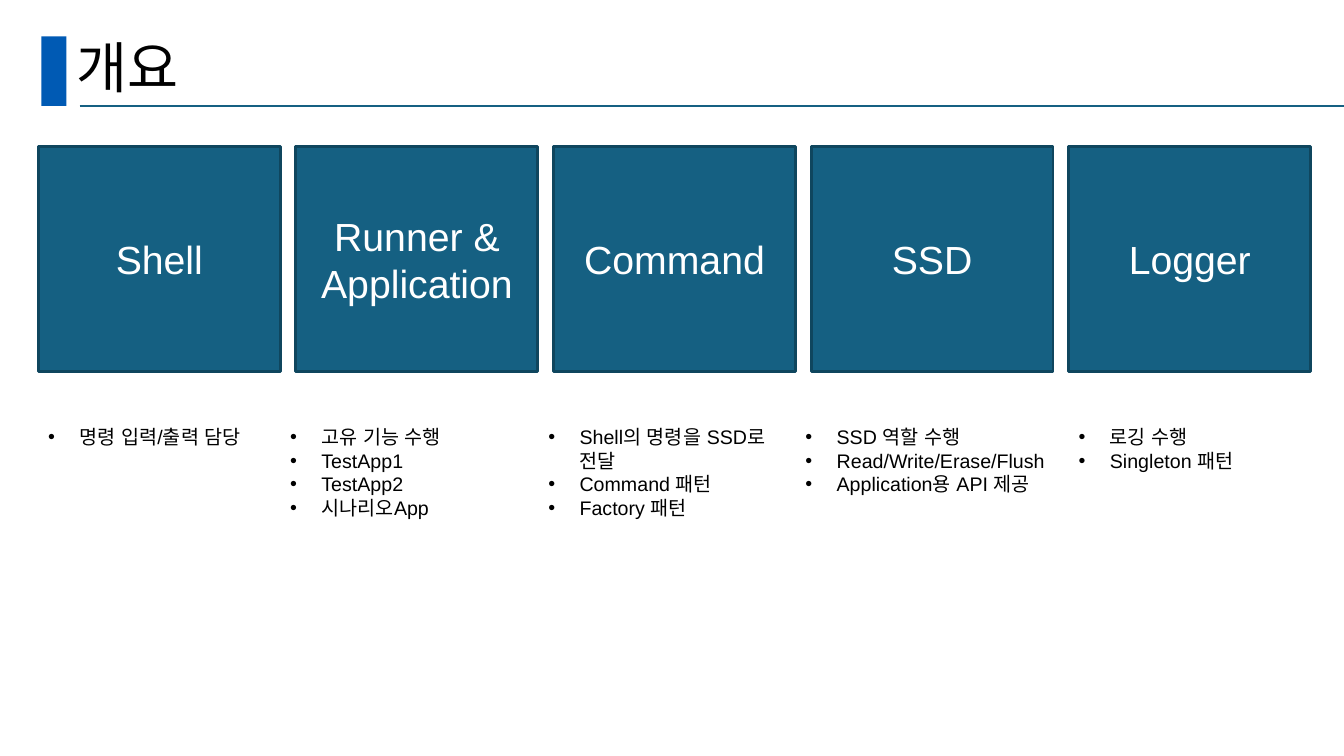
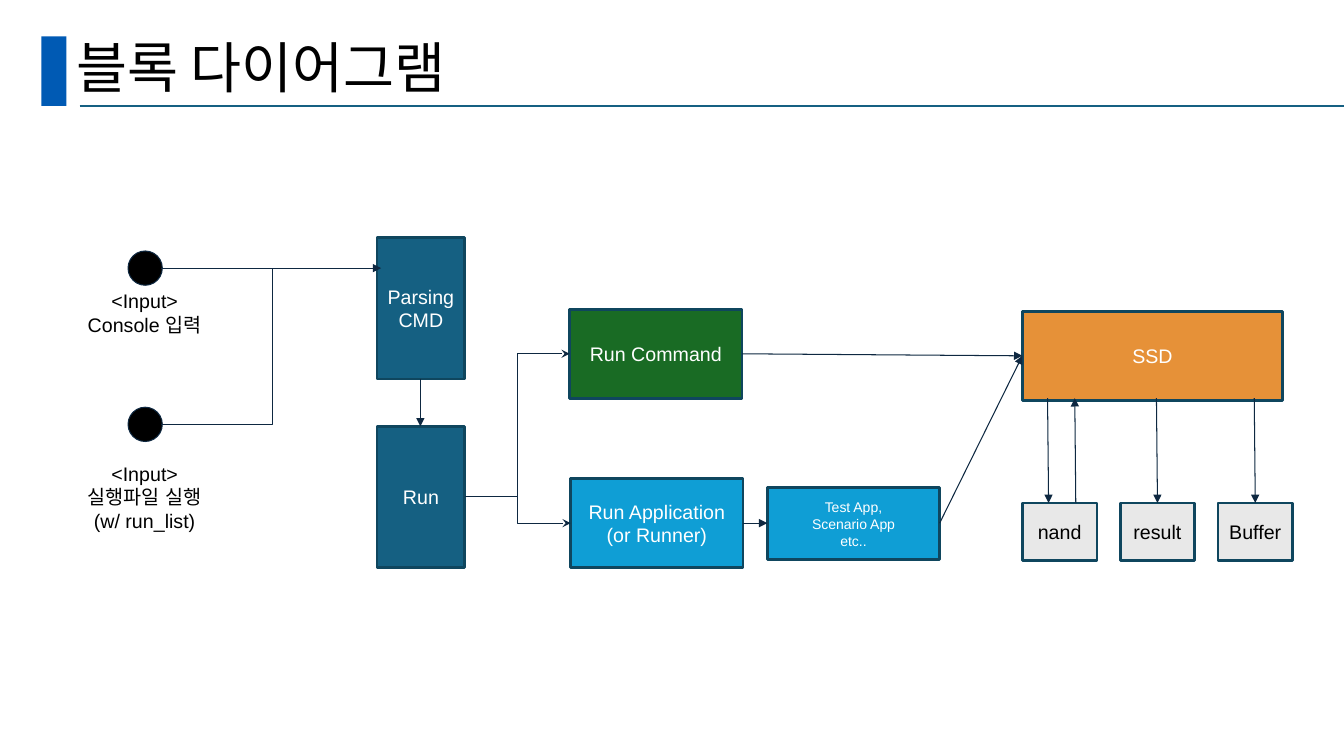
from lxml.etree import SubElement
from pptx import Presentation
from pptx.dml.color import RGBColor
from pptx.enum.shapes import MSO_CONNECTOR as Connector, MSO_SHAPE as Preset
from pptx.enum.text import MSO_ANCHOR as Anchor, PP_ALIGN as Align
from pptx.oxml.ns import qn
from pptx.util import Inches, Pt

BLACK = RGBColor(0x00, 0x00, 0x00)
WHITE = RGBColor(0xFF, 0xFF, 0xFF)
ACCENT = RGBColor(0x00, 0x5A, 0xB4)
TEAL = RGBColor(0x15, 0x60, 0x82)
OUTLINE = RGBColor(0x0F, 0x46, 0x5E)
NAVY = RGBColor(0x0E, 0x28, 0x41)
GREEN = RGBColor(0x19, 0x6B, 0x24)
SKY = RGBColor(0x0F, 0x9E, 0xD5)
ORANGE = RGBColor(0xE6, 0x91, 0x38)
GRAY = RGBColor(0xE8, 0xE8, 0xE8)

TITLE_FONT = "Noto Sans CJK KR"
BODY_FONT = "Arial"


def add_block(slide, box, lines=(), fill=None, border=(OUTLINE, 2), preset=Preset.RECTANGLE,
              color=WHITE, font=BODY_FONT, size=14, anchor=Anchor.MIDDLE, bullet=False,
              side_margin=0.1, **paragraph_format):
    """Add a filled shape, or a plain text box when there is no fill; one paragraph per line."""
    box = [Inches(length) for length in box]
    if fill is None:
        shape = slide.shapes.add_textbox(*box)
    else:
        shape = slide.shapes.add_shape(preset, *box)
        shape.shadow.inherit = False
        shape.fill.solid()
        shape.fill.fore_color.rgb = fill
        if border:
            shape.line.color.rgb, shape.line.width = border[0], Pt(border[1])
        else:
            shape.line.fill.background()
    frame = shape.text_frame
    frame_format = {"word_wrap": True, "vertical_anchor": anchor,
                    "margin_left": Inches(side_margin), "margin_right": Inches(side_margin)}
    for name, value in frame_format.items():
        setattr(frame, name, value)
    for index, line in enumerate(lines):
        paragraph = frame.paragraphs[0] if index == 0 else frame.add_paragraph()
        for name, value in paragraph_format.items():
            setattr(paragraph, name, value)
        run = paragraph.add_run()
        run.text = line
        run.font.name, run.font.size = font, Pt(size)
        run.font.color.rgb = color
        SubElement(run.font._element, qn("a:ea"), typeface=font)
        if bullet:
            properties = paragraph._p.get_or_add_pPr()
            properties.set("marL", str(Inches(0.31)))
            properties.set("indent", str(-Inches(0.31)))
            SubElement(properties, qn("a:buFont"), typeface=BODY_FONT)
            SubElement(properties, qn("a:buChar"), char="•")


def add_line(slide, points, color=NAVY, width=0.75, arrow="triangle", geometry="line"):
    kind = Connector.STRAIGHT if geometry == "line" else Connector.ELBOW
    connector = slide.shapes.add_connector(kind, *[Inches(length) for length in points])
    connector.line.color.rgb, connector.line.width = color, Pt(width)
    properties = connector._element.spPr
    properties.find(qn("a:prstGeom")).set("prst", geometry)
    if arrow:
        SubElement(connector.line._get_or_add_ln(), qn("a:tailEnd"), type=arrow)
    SubElement(properties, qn("a:effectLst"))


presentation = Presentation()
presentation.slide_width, presentation.slide_height = Inches(13.33), Inches(7.5)
blank_layout = presentation.slide_layouts[6]

# Title band of every slide
slides = []
for title in ("개요", "블록 다이어그램"):
    slide = presentation.slides.add_slide(blank_layout)
    add_block(slide, (0.41, 0.36, 0.25, 0.69), fill=ACCENT, border=None)
    add_line(slide, (0.79, 1.05, 13.33, 1.05), TEAL, 1.5, arrow=None)
    add_block(slide, (0.66, 0.34, 11.5, 0.71), [title], color=BLACK, font=TITLE_FONT,
              size=39.6, line_spacing=0.9)
    slides.append(slide)
overview, diagram = slides

# Overview: one card and one bullet list per module
modules = [
    (["Shell"], 0.38, ["명령 입력/출력 담당"]),
    (["Runner &", "Application"], 2.78, ["고유 기능 수행", "TestApp1", "TestApp2", "시나리오App"]),
    (["Command"], 5.34, ["Shell의 명령을 SSD로 전달", "Command 패턴", "Factory 패턴"]),
    (["SSD"], 7.89, ["SSD 역할 수행", "Read/Write/Erase/Flush", "Application용 API 제공"]),
    (["Logger"], 10.6, ["로깅 수행", "Singleton 패턴"]),
]
first_left, last_left = 0.38, 10.6
pitch = (last_left - first_left) / (len(modules) - 1)
for index, (name, list_left, features) in enumerate(modules):
    add_block(overview, (first_left + index * pitch, 1.45, 2.4, 2.24), name, TEAL,
              size=28, alignment=Align.CENTER)
    add_block(overview, (list_left, 4.17, 2.6, 1.04), features, color=BLACK,
              anchor=Anchor.TOP, bullet=True)

# Block diagram: inputs
inputs = [
    (2.49, 2.82, 0.57, ["<Input>", "Console 입력"]),
    (4.04, 4.53, 0.81, ["<Input>", "실행파일 실행", "(w/ run_list)"]),
]
for dot_top, label_top, label_height, label in inputs:
    add_block(diagram, (1.27, dot_top, 0.34, 0.34), fill=BLACK, border=(NAVY, 0.75),
              preset=Preset.OVAL)
    add_block(diagram, (0.48, label_top, 1.91, label_height), label, color=BLACK,
              anchor=Anchor.TOP, alignment=Align.CENTER)

# Block diagram: processing steps and storage files
steps = [
    ((3.74, 2.36, 0.87, 1.4), ["Parsing", "CMD"], TEAL, 14),
    ((3.74, 4.23, 0.87, 1.4), ["Run"], TEAL, 14),
    ((5.65, 3.07, 1.71, 0.88), ["Run Command"], GREEN, 14),
    ((5.66, 4.75, 1.71, 0.88), ["Run Application", "(or Runner)"], SKY, 14),
    ((7.61, 4.84, 1.71, 0.71), ["Test App,", "Scenario App", "etc.."], SKY, 10),
    ((10.14, 3.09, 2.58, 0.88), ["SSD"], ORANGE, 14),
]
for box, lines, fill, size in steps:
    add_block(diagram, box, lines, fill, size=size, side_margin=0.05, alignment=Align.CENTER)
for index, name in enumerate(["nand", "result", "Buffer"]):
    add_block(diagram, (10.14 + index * 0.97, 4.99, 0.74, 0.57), [name], GRAY, color=BLACK,
              side_margin=0.05, alignment=Align.CENTER)

# Block diagram: flow
arrows = [
    (1.6, 2.66, 3.78, 2.66),
    (4.17, 3.76, 4.17, 4.23),
    (7.37, 5.19, 7.61, 5.19),
    (7.36, 3.51, 10.14, 3.53),
    (9.32, 5.19, 10.14, 3.53),
    (10.39, 3.95, 10.4, 4.99),
    (10.67, 4.99, 10.66, 3.95),
    (11.47, 3.95, 11.48, 4.99),
    (12.44, 3.95, 12.45, 4.99),
]
for points in arrows:
    add_line(diagram, points)
for branch_end in ((5.65, 3.51), (5.66, 5.19)):
    add_line(diagram, (4.61, 4.93, *branch_end), arrow="stealth", geometry="bentConnector3")
add_line(diagram, (1.6, 4.21, 2.7, 2.67), arrow=None, geometry="bentConnector2")

presentation.save("out.pptx")
